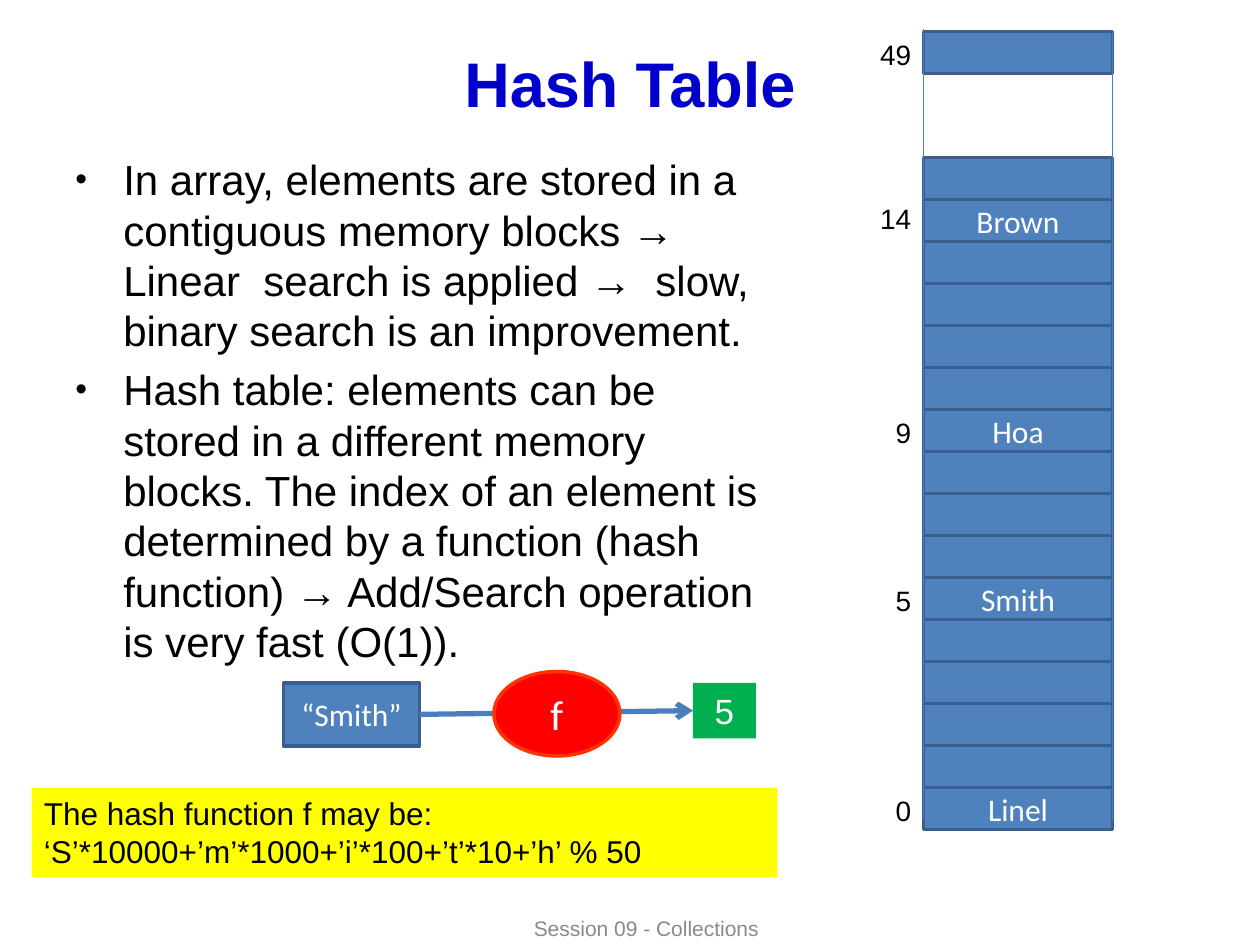
import dataclasses

import lxml.etree
import pptx
import pptx.dml.color
import pptx.enum.shapes
import pptx.enum.text
import pptx.oxml.ns
import pptx.util

Inches = pptx.util.Inches
Pt = pptx.util.Pt
Align = pptx.enum.text.PP_ALIGN
Anchor = pptx.enum.text.MSO_ANCHOR
Preset = pptx.enum.shapes.MSO_SHAPE

COLORS = {
    "title": "0000CC", "black": "000000", "white": "FFFFFF", "footer": "898989",
    "cell": "4F81BD", "cell_border": "3A5F8C", "connector": "4B7EBC",
    "result": "00B050", "function": "FF0000", "function_border": "FF3300",
    "note": "FFFF00",
}


@dataclasses.dataclass(frozen=True)
class Style:
    size: float
    color: str = "black"
    font: str = "Arial"
    bold: bool = False
    align: Align = Align.CENTER
    anchor: Anchor = Anchor.MIDDLE


@dataclasses.dataclass(frozen=True)
class Box:
    left: float
    top: float
    width: float
    height: float
    text: str
    style: Style
    fill: str | None = None
    border: str | None = None
    preset: Preset = Preset.RECTANGLE


@dataclasses.dataclass(frozen=True)
class Line:
    start: tuple[float, float]
    end: tuple[float, float]
    width: float
    arrow: bool = False


def rgb(name: str) -> pptx.dml.color.RGBColor:
    return pptx.dml.color.RGBColor.from_string(COLORS[name])


def format_text(shape, style: Style) -> None:
    shape.text_frame.word_wrap = True
    shape.text_frame.vertical_anchor = style.anchor
    for paragraph in shape.text_frame.paragraphs:
        paragraph.alignment = style.align
        for run in paragraph.runs:
            run.font.name = style.font
            run.font.size = Pt(style.size)
            run.font.bold = style.bold
            run.font.color.rgb = rgb(style.color)


def add_box(slide, box: Box):
    place = [Inches(value) for value in (box.left, box.top, box.width, box.height)]
    if box.fill:
        shape = slide.shapes.add_shape(box.preset, *place)
        shape.shadow.inherit = False
        shape.fill.solid()
        shape.fill.fore_color.rgb = rgb(box.fill)
        if box.border:
            shape.line.color.rgb = rgb(box.border)
            shape.line.width = Pt(2)
        else:
            shape.line.fill.background()
    else:
        shape = slide.shapes.add_textbox(*place)
    shape.text_frame.text = box.text
    format_text(shape, box.style)
    return shape


def add_bullets(shape) -> None:
    for paragraph in shape.text_frame.paragraphs:
        paragraph.space_before = Pt(4.8)
        properties = paragraph._p.get_or_add_pPr()
        properties.set("marL", str(Inches(0.38)))
        properties.set("indent", str(Inches(-0.38)))
        color = lxml.etree.SubElement(properties, pptx.oxml.ns.qn("a:buClr"))
        lxml.etree.SubElement(color, pptx.oxml.ns.qn("a:srgbClr"), val=COLORS["black"])
        lxml.etree.SubElement(properties, pptx.oxml.ns.qn("a:buSzPct"), val="80000")
        lxml.etree.SubElement(properties, pptx.oxml.ns.qn("a:buFont"), typeface="Arial")
        lxml.etree.SubElement(properties, pptx.oxml.ns.qn("a:buChar"), char="•")


def add_line(slide, line: Line) -> None:
    points = [Inches(value) for value in (*line.start, *line.end)]
    connector = slide.shapes.add_connector(
        pptx.enum.shapes.MSO_CONNECTOR.STRAIGHT, *points)
    connector.line.color.rgb = rgb("connector")
    connector.line.width = Pt(line.width)
    if line.arrow:
        outline = connector.line._get_or_add_ln()
        lxml.etree.SubElement(outline, pptx.oxml.ns.qn("a:tailEnd"), type="arrow")
    lxml.etree.SubElement(connector._element.spPr, pptx.oxml.ns.qn("a:effectLst"))


TITLE = Style(36, "title", bold=True)
BODY = Style(24, align=Align.LEFT, anchor=Anchor.TOP)
FOOTER = Style(12, "footer")
CELL = Style(18, "white", "Calibri")
FUNCTION = Style(24, "white", "Calibri")
RESULT = Style(20, "white", anchor=Anchor.TOP)
NOTE = Style(18, align=Align.LEFT, anchor=Anchor.TOP)
INDEX = Style(16, align=Align.RIGHT, anchor=Anchor.TOP)

BODY_TEXT = "\n".join([
    "In array, elements are stored in a contiguous memory blocks → "
    "Linear  search is applied →  slow, binary search is an improvement.",
    "Hash table: elements can be stored in a different memory blocks. "
    "The index of an element is determined by a function (hash function) → "
    "Add/Search operation is very fast (O(1)).",
])

TABLE_LEFT = 7.33
TABLE_WIDTH = 1.5
TABLE_RIGHT = TABLE_LEFT + TABLE_WIDTH
BOTTOM_CELL_TOP = 6.25
CELL_HEIGHT = 1 / 3
CELL_COUNT = 16
ENTRIES = {0: "Linel", 5: "Smith", 9: "Hoa", 14: "Brown"}
INDEX_TOPS = {0: 6.25, 5: 4.58, 9: 3.25, 14: 1.55, 49: 0.25}


def add_cell(slide, top: float, text: str = "") -> None:
    add_box(slide, Box(TABLE_LEFT, top, TABLE_WIDTH, CELL_HEIGHT, text, CELL,
                       "cell", "cell_border"))


def add_hash_table(slide) -> None:
    for index in reversed(range(CELL_COUNT)):
        add_cell(slide, BOTTOM_CELL_TOP - index * CELL_HEIGHT, ENTRIES.get(index, ""))
    add_cell(slide, INDEX_TOPS[49])
    for index, top in INDEX_TOPS.items():
        width = 0.42 if index < 10 else 0.58
        add_box(slide, Box(TABLE_LEFT - width, top, width, 0.37, str(index), INDEX))
    for left, top in ((TABLE_LEFT, 0.23), (TABLE_RIGHT, 0.25)):
        add_line(slide, Line((left, top), (left, top + 6.27), 0.75))


def add_hash_function(slide) -> None:
    add_box(slide, Box(2.25, 5.42, 1.08, 0.5, "“Smith”", CELL, "cell", "cell_border"))
    add_box(slide, Box(5.5, 5.42, 0.5, 0.44, "5", RESULT, "result"))
    add_line(slide, Line((3.33, 5.67), (5.5, 5.64), 3, arrow=True))
    add_box(slide, Box(3.92, 5.33, 1, 0.67, "f", FUNCTION, "function",
                       "function_border", Preset.OVAL))
    add_box(slide, Box(0.25, 6.25, 5.92, 0.71,
                       "The hash function f may be: "
                       "‘S’*10000+’m’*1000+’i’*100+’t’*10+’h’ % 50", NOTE, "note"))


def main() -> None:
    presentation = pptx.Presentation()
    presentation.slide_width = Inches(10)
    presentation.slide_height = Inches(7.5)
    slide = presentation.slides.add_slide(presentation.slide_layouts[6])
    add_box(slide, Box(0.5, 0.3, 9, 0.7, "Hash Table", TITLE))
    add_bullets(add_box(slide, Box(0.5, 1.17, 5.75, 4.25, BODY_TEXT, BODY)))
    add_box(slide, Box(2.67, 7.23, 4.92, 0.27, "Session 09 - Collections", FOOTER))
    add_hash_table(slide)
    add_hash_function(slide)
    presentation.save("out.pptx")


if __name__ == "__main__":
    main()
